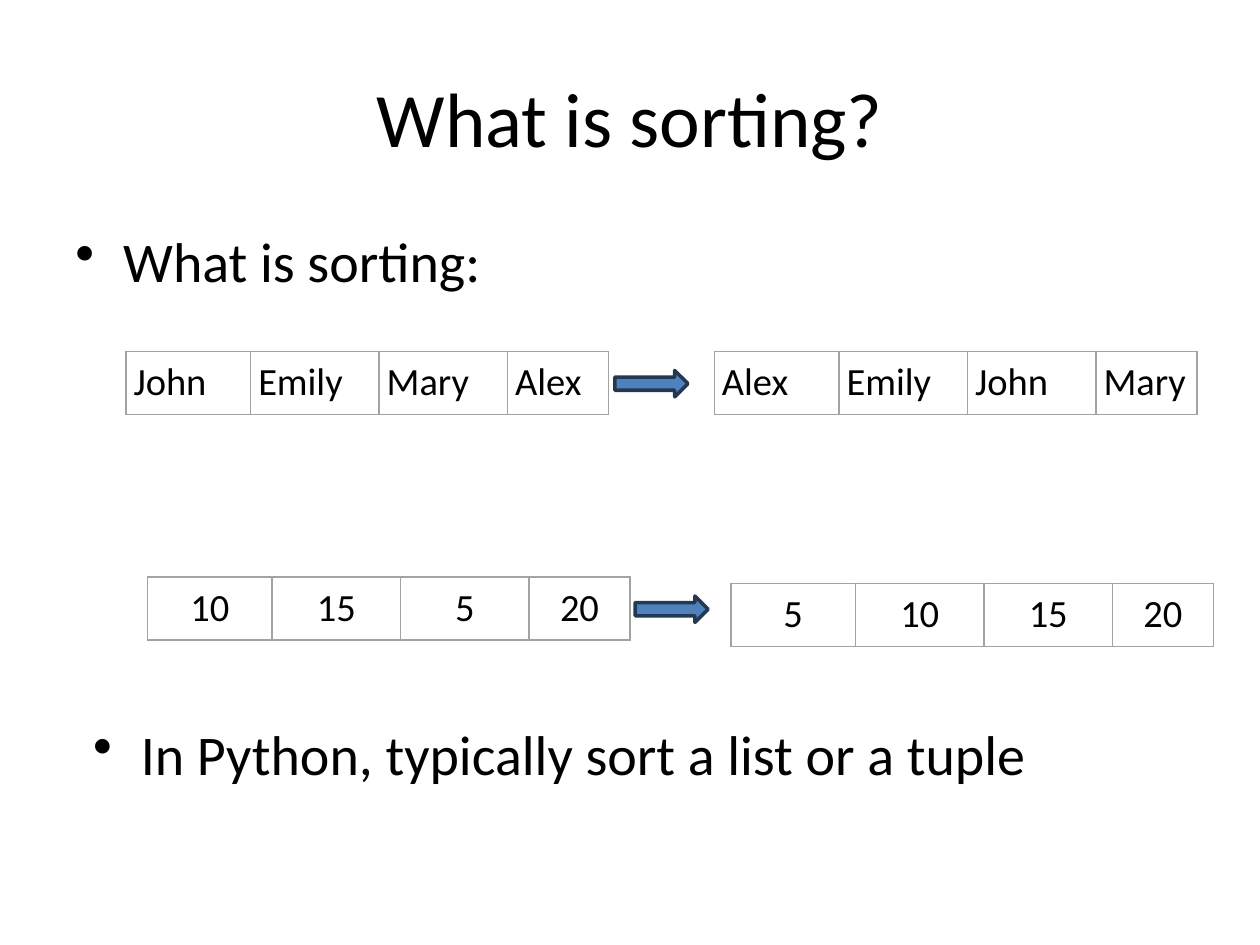
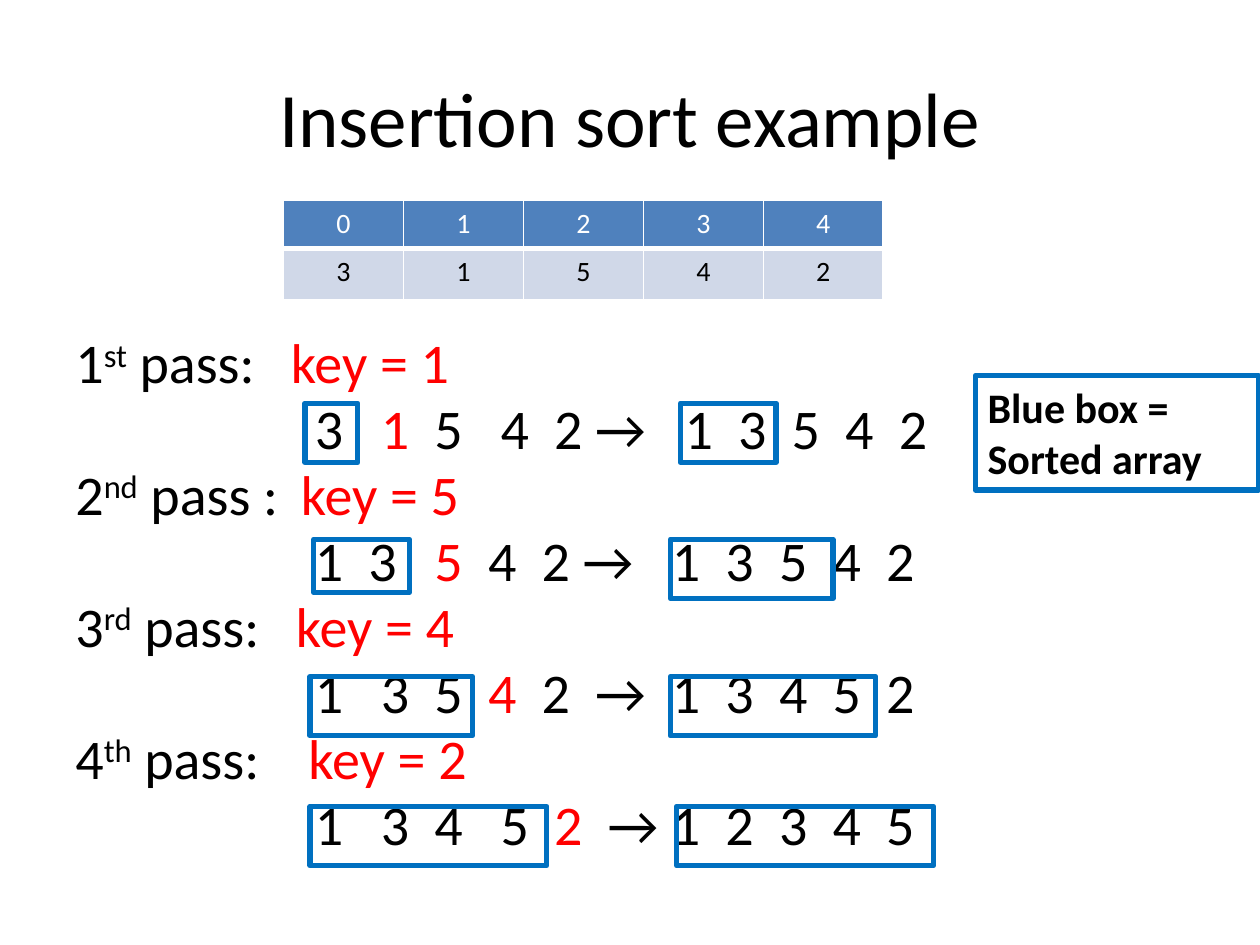
import pptx
import pptx.util
import pptx.dml.color
import pptx.enum.shapes
import pptx.enum.text
import pptx.oxml
import pptx.oxml.ns

Inches, Pt = pptx.util.Inches, pptx.util.Pt
RGB = pptx.dml.color.RGBColor.from_string
SHAPE = pptx.enum.shapes.MSO_SHAPE
ALIGN = pptx.enum.text.PP_ALIGN
ANCHOR = pptx.enum.text.MSO_ANCHOR
NS = pptx.oxml.ns.nsdecls("a")

COLORS = {
    "black": "000000", "white": "FFFFFF", "red": "FF0000", "grey": "A3A3A3",
    "blue": "4F81BD", "navy": "233953", "pale": "D0D8E8", "box": "0070C0",
}
FONT = "Calibri"


def write(frame, text, size=32, color="black", bold=False, align=ALIGN.LEFT,
          anchor=ANCHOR.TOP, inset=(0.1, 0.05), bullet=False, spacing=None, tabs=()):
    """Fill a frame; text is a list of lines, each a list of (words, color, raised)."""
    frame.word_wrap = True
    frame.vertical_anchor = anchor
    frame.margin_left = frame.margin_right = Inches(inset[0])
    frame.margin_top = frame.margin_bottom = Inches(inset[1])
    lines = [[(text, color, False)]] if isinstance(text, str) else text
    for i, line in enumerate(lines):
        para = frame.paragraphs[0] if i == 0 else frame.add_paragraph()
        para.alignment = align
        props = para._p.get_or_add_pPr()
        if bullet:
            props.set("marL", str(Inches(0.38)))
            props.set("indent", str(-Inches(0.38)))
            props.append(pptx.oxml.parse_xml(f'<a:buChar {NS} char="•"/>'))
        if tabs:
            stops = "".join(f'<a:tab pos="{Inches(x)}" algn="l"/>' for x in tabs[i])
            props.append(pptx.oxml.parse_xml(f"<a:tabLst {NS}>{stops}</a:tabLst>"))
        if spacing:
            para.line_spacing = spacing
        for words, tint, raised in line:
            run = para.add_run()
            run.text = words
            run.font.name, run.font.size, run.font.bold = FONT, Pt(size), bold
            run.font.color.rgb = RGB(COLORS[tint])
            if raised:
                run._r.get_or_add_rPr().set("baseline", "30000")


def style(cell, edges, color, fill=None):
    """Set cell borders, widths given as left, right, top, bottom, and fill."""
    props = cell._tc.get_or_add_tcPr()
    for side, width in zip("LRTB", edges):
        props.append(pptx.oxml.parse_xml(
            f'<a:ln{side} {NS} w="{Pt(width)}"><a:solidFill>'
            f'<a:srgbClr val="{COLORS[color]}"/></a:solidFill></a:ln{side}>'))
    if fill:
        cell.fill.solid()
        cell.fill.fore_color.rgb = RGB(COLORS[fill])
    else:
        cell.fill.background()


deck = pptx.Presentation()
deck.slide_width, deck.slide_height = Inches(10), Inches(7.5)

# Slides and their titles
pages = []
for title in ("What is sorting?", "Insertion sort example"):
    page = deck.slides.add_slide(deck.slide_layouts[6])
    box = page.shapes.add_textbox(Inches(0.5), Inches(0.3), Inches(9), Inches(1.25))
    write(box.text_frame, title, size=44, align=ALIGN.CENTER, anchor=ANCHOR.MIDDLE)
    pages.append(page)
intro, demo = pages

# Sorting: bullets
for left, top, text in ((0.5, 1.75, "What is sorting:"),
                        (0.64, 5.66, "In Python, typically sort a list or a tuple")):
    box = intro.shapes.add_textbox(Inches(left), Inches(top), Inches(9), Inches(0.83))
    write(box.text_frame, text, bullet=True)

# Sorting: lists before and after
lists = (
    (1, 2.79, "John Emily Mary Alex", ALIGN.LEFT),
    (5.67, 2.79, "Alex Emily John Mary", ALIGN.LEFT),
    (1.17, 4.58, "10 15 5 20", ALIGN.CENTER),
    (5.8, 4.63, "5 10 15 20", ALIGN.CENTER),
)
for left, top, items, align in lists:
    grid = intro.shapes.add_table(1, 4, Inches(left), Inches(top),
                                  Inches(3.83), Inches(0.5)).table
    grid.first_row = grid.horz_banding = False
    for col, width, item in zip(range(4), (0.99, 1.02, 1.02, 0.8), items.split()):
        grid.columns[col].width = Inches(width)
        cell = grid.cell(0, col)
        style(cell, (1, 1, 1, 1), "grey")
        write(cell.text_frame, item, size=22, align=align)
        cell.margin_left = cell.margin_right = Inches(0.06)
        cell.margin_top = cell.margin_bottom = Inches(0.06)

# Sorting: arrows between the lists
for left, top in ((4.88, 2.94), (5.04, 4.73)):
    arrow = intro.shapes.add_shape(SHAPE.RIGHT_ARROW, Inches(left), Inches(top),
                                   Inches(0.58), Inches(0.21))
    arrow.shadow.inherit = False
    arrow.fill.solid()
    arrow.fill.fore_color.rgb = RGB(COLORS["blue"])
    arrow.line.color.rgb = RGB(COLORS["navy"])
    arrow.line.width = Pt(2)

# Example: passes as ordinal, label, key, key place, digits, gaps in spaces
passes = (
    ("1", "st", " pass:", "1", 1.71, "31542→13542", "3232132222"),
    ("2", "nd", " pass :", "5", 1.79, "13542→13542", "2322132222"),
    ("3", "rd", " pass:", "4", 1.75, "13542→13452", "3222222222"),
    ("4", "th", " pass:", "2", 1.85, "13452→12345", "3232212222"),
)
SPACE, DIGIT, ARROW = 0.1, 0.225, 0.41
lines, tabs = [], []
for turn, (num, nth, label, key, place, marks, gaps) in enumerate(passes, 1):
    lines.append([(num, "black", False), (nth, "black", True),
                  (label + "\t", "black", False), (f"key = {key}", "red", False)])
    tabs.append([place])
    lines.append([("".join("\t" + m for m in marks[:turn]) + "\t", "black", False),
                  (marks[turn], "red", False),
                  ("".join("\t" + m for m in marks[turn + 1:]), "black", False)])
    stops = [1.9]
    for mark, gap in zip(marks, gaps):
        stops.append(stops[-1] + (ARROW if mark == "→" else DIGIT) + SPACE * int(gap))
    tabs.append(stops)
box = demo.shapes.add_textbox(Inches(0.5), Inches(2.58), Inches(9), Inches(4.42))
write(box.text_frame, lines, tabs=tabs, spacing=0.98)

# Example: indexes and values
grid = demo.shapes.add_table(2, 5, Inches(2.25), Inches(1.59),
                             Inches(4.76), Inches(0.79)).table
looks = (("01234", 0.38, "white", "blue", (1, 1, 1, 3)),
         ("31542", 0.41, "black", "pale", (1, 1, 3, 1)))
for row, (digits, height, color, fill, edges) in enumerate(looks):
    grid.rows[row].height = Inches(height)
    for col, digit in enumerate(digits):
        cell = grid.cell(row, col)
        style(cell, edges, "white", fill)
        write(cell.text_frame, digit, size=16, color=color, align=ALIGN.CENTER)

# Example: boxes round the sorted part, then the legend
PROC = SHAPE.FLOWCHART_PROCESS
frames = (
    (PROC, 2.42, 3.2, 0.42, 0.47), (PROC, 5.4, 3.2, 0.76, 0.47),
    (PROC, 2.49, 4.28, 0.76, 0.42), (PROC, 5.32, 4.28, 1.29, 0.47),
    (PROC, 2.46, 5.37, 1.29, 0.47), (PROC, 5.32, 5.37, 1.63, 0.47),
    (PROC, 2.46, 6.4, 1.88, 0.47), (PROC, 5.37, 6.4, 2.04, 0.47),
    (SHAPE.RECTANGLE, 7.74, 2.98, 2.25, 0.91),
)
for kind, *place in frames:
    shape = demo.shapes.add_shape(kind, *map(Inches, place))
    shape.shadow.inherit = False
    shape.fill.background()
    shape.line.color.rgb = RGB(COLORS["box"])
    shape.line.width = Pt(3)
legend = [[(words, "black", False)] for words in ("Blue box =", "Sorted array")]
write(shape.text_frame, legend, size=24, bold=True)

deck.save("out.pptx")
